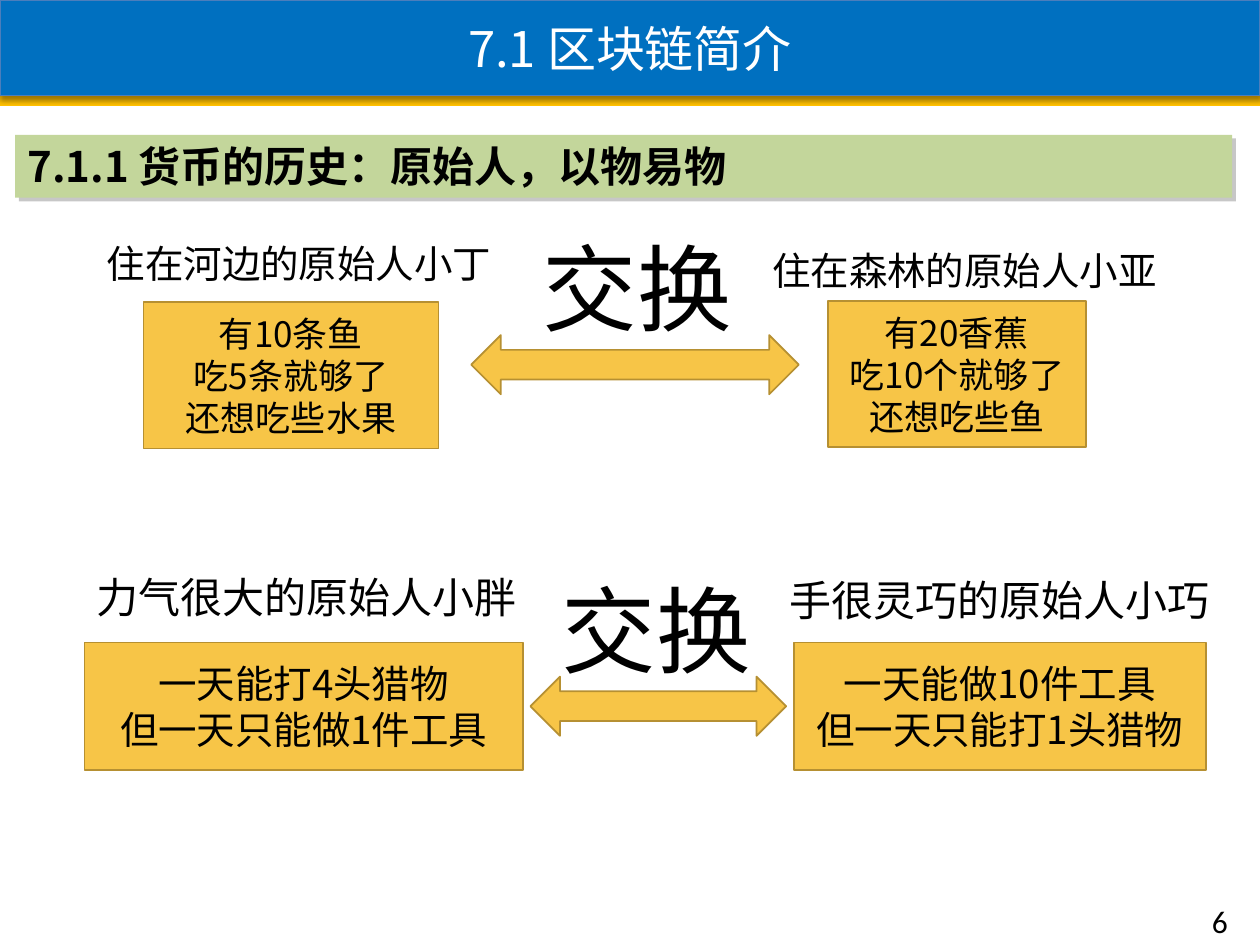
import pptx
import pptx.dml.color
import pptx.enum.shapes
import pptx.enum.text
import pptx.oxml
import pptx.oxml.ns
import pptx.util
from pptx.util import Inches

CJK = "Noto Sans CJK SC"
SHAPES = pptx.enum.shapes.MSO_SHAPE
ALIGN = pptx.enum.text.PP_ALIGN
ANCHOR = pptx.enum.text.MSO_ANCHOR
AMBER, AMBER_EDGE = "F7C547", "B69032"


def paint(shape, fill, edge=None, weight=1, shadow=None):
    """Set fill, outline and an optional (color, alpha %, blur, distance, angle) shadow."""
    rgb = pptx.dml.color.RGBColor.from_string
    shape.fill.solid()
    shape.fill.fore_color.rgb = rgb(fill)
    if edge:
        shape.line.color.rgb = rgb(edge)
        shape.line.width = pptx.util.Pt(weight)
    else:
        shape.line.fill.background()
    shape.shadow.inherit = False
    if shadow:
        color, alpha, blur, distance, angle = shadow
        effects = shape._element.spPr.find(pptx.oxml.ns.qn("a:effectLst"))
        effects.append(pptx.oxml.parse_xml(
            f'<a:outerShdw {pptx.oxml.ns.nsdecls("a")} blurRad="{pptx.util.Pt(blur)}" '
            f'dist="{pptx.util.Pt(distance)}" dir="{angle * 60000}" algn="tl" rotWithShape="0">'
            f'<a:srgbClr val="{color}"><a:alpha val="{alpha * 1000}"/></a:srgbClr></a:outerShdw>'))


def write(shape, lines, size, color="000000", bold=False, font=CJK, align=ALIGN.LEFT,
          anchor=ANCHOR.TOP, wrap=True):
    frame = shape.text_frame
    frame.word_wrap = wrap
    frame.auto_size = pptx.enum.text.MSO_AUTO_SIZE.NONE
    frame.vertical_anchor = anchor
    for index, line in enumerate(lines):
        para = frame.add_paragraph() if index else frame.paragraphs[0]
        para.alignment = align
        span = para.add_run()
        span.text = line
        span.font.size = pptx.util.Pt(size)
        span.font.bold = bold
        span.font.color.rgb = pptx.dml.color.RGBColor.from_string(color)
        span.font.name = font
        east_asian = pptx.oxml.parse_xml(
            f'<a:ea {pptx.oxml.ns.nsdecls("a")} typeface="{font}"/>')
        span.font._element.find(pptx.oxml.ns.qn("a:latin")).addnext(east_asian)


deck = pptx.Presentation()
deck.slide_width, deck.slide_height = Inches(10), Inches(7.5)
page = deck.slides.add_slide(deck.slide_layouts[5])

# Header: the title bar casts its shadow on the gold strip
title = page.shapes.title
title.left, title.top, title.width, title.height = 0, 0, Inches(10), Inches(0.76)
paint(title, "0070C0", "4B7EBC", 0.75, ("000000", 38, 3.1, 1.6, 90))
write(title, ["7.1 区块链简介"], 28, "FFFFFF", align=ALIGN.CENTER, anchor=ANCHOR.MIDDLE)

strip = page.shapes.add_shape(SHAPES.RECTANGLE, 0, Inches(0.76), Inches(10), Inches(0.08))
paint(strip, "FFC000")
title._element.addprevious(strip._element)

heading = page.shapes.add_shape(
    SHAPES.RECTANGLE, Inches(0.12), Inches(1.07), Inches(9.66), Inches(0.5))
paint(heading, "C3D69B", shadow=("808080", 43, 0, 3, 45))
write(heading, ["7.1.1 货币的历史：原始人，以物易物"], 24, bold=True)

# Captions and other free text: left, top, width, height, text, size
labels = [
    (4.21, 1.78, 1.67, 0.98, "交换", 54),
    (0.75, 1.86, 2.23, 0.3, "住在河边的原始人小丁", 22),
    (6.03, 1.91, 2.05, 0.49, "住在森林的原始人小亚", 22),
    (4.36, 4.49, 1.67, 0.98, "交换", 54),
    (0.67, 4.49, 2.05, 0.3, "力气很大的原始人小胖", 24),
    (6.17, 4.51, 2.05, 0.3, "手很灵巧的原始人小巧", 24),
]
for left, top, width, height, text, size in labels:
    label = page.shapes.add_textbox(Inches(left), Inches(top), Inches(width), Inches(height))
    write(label, [text], size, wrap=False)

# What each person has and wants: left, top, width, height, lines, size
cards = [
    (1.14, 2.4, 2.34, 1.16, ["有10条鱼", "吃5条就够了", "还想吃些水果"], 20),
    (6.57, 2.39, 2.05, 1.16, ["有20香蕉", "吃10个就够了", "还想吃些鱼"], 20),
    (0.67, 5.1, 3.48, 1.01, ["一天能打4头猎物", "但一天只能做1件工具"], 22),
    (6.3, 5.1, 3.27, 1.01, ["一天能做10件工具", "但一天只能打1头猎物"], 22),
]
for left, top, width, height, lines, size in cards:
    card = page.shapes.add_shape(
        SHAPES.RECTANGLE, Inches(left), Inches(top), Inches(width), Inches(height))
    paint(card, AMBER, AMBER_EDGE)
    write(card, lines, size, align=ALIGN.CENTER, anchor=ANCHOR.MIDDLE)

for left, top, width in [(3.74, 2.66, 2.6), (4.21, 5.37, 2.03)]:
    arrow = page.shapes.add_shape(
        SHAPES.LEFT_RIGHT_ARROW, Inches(left), Inches(top), Inches(width), Inches(0.47))
    paint(arrow, AMBER, AMBER_EDGE)

page_number = page.shapes.add_textbox(Inches(9.52), Inches(7.11), Inches(0.47), Inches(0.4))
write(page_number, ["6"], 18, font="Calibri")

deck.save("out.pptx")
